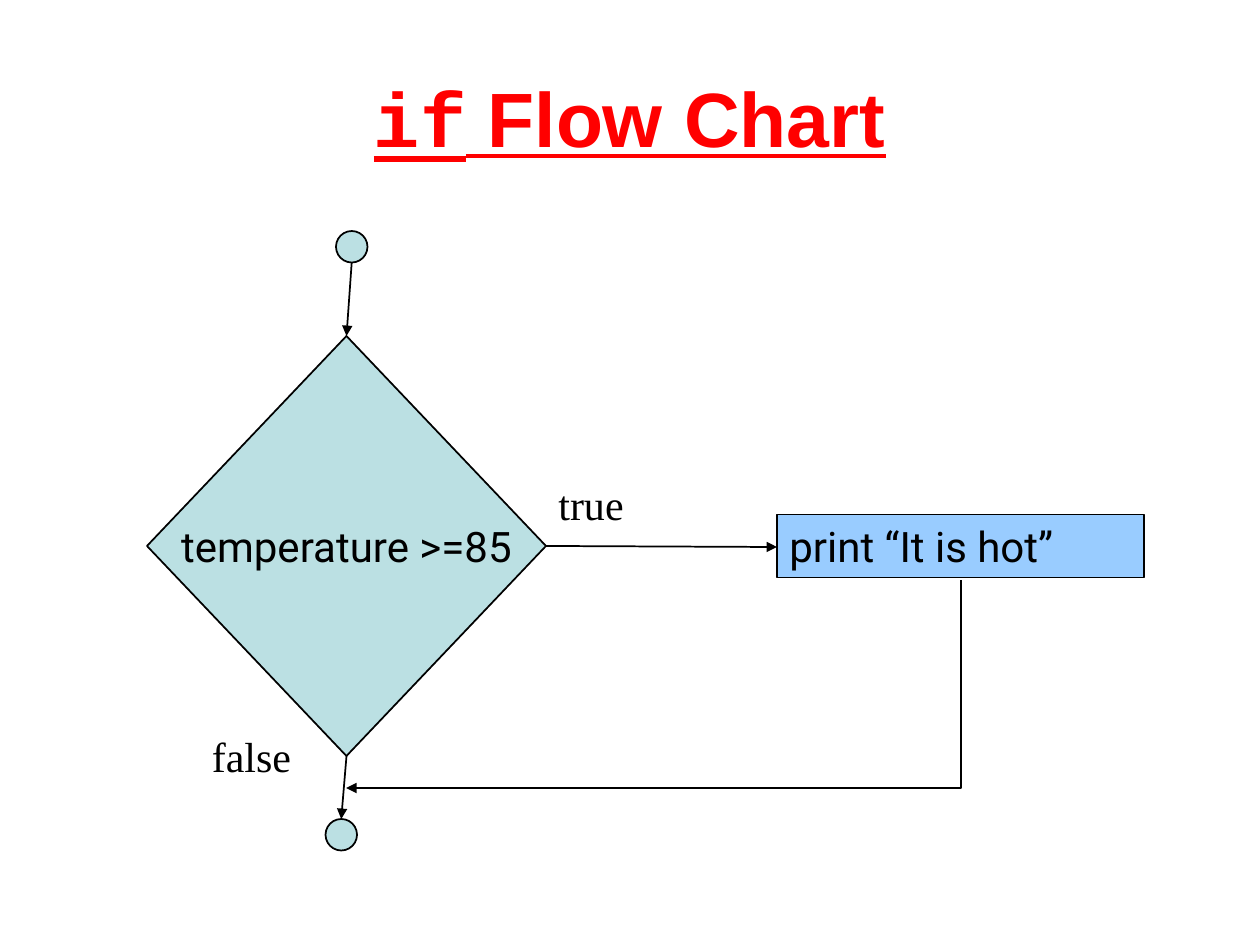
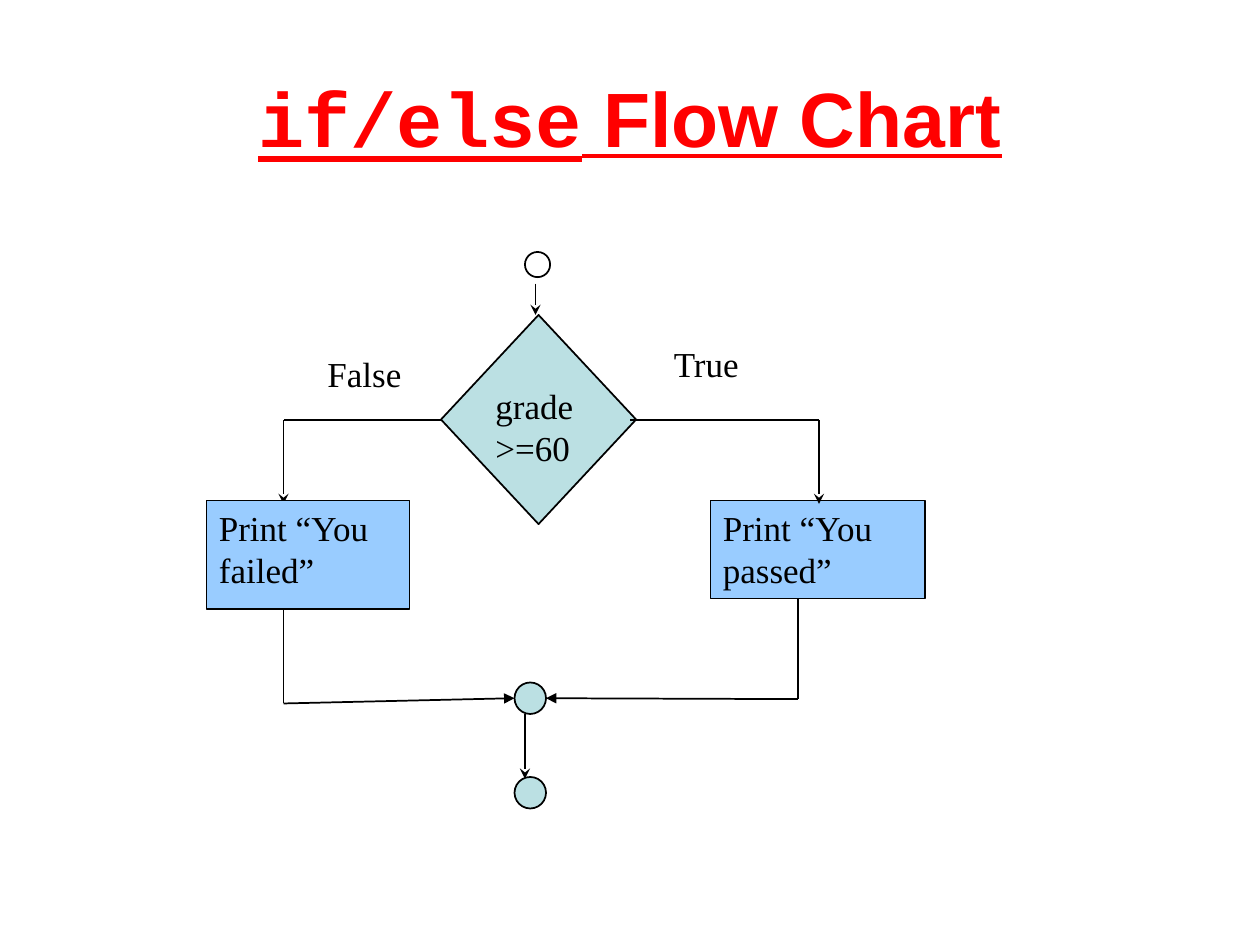
from dataclasses import dataclass

from lxml.etree import SubElement
from pptx import Presentation
from pptx.dml.color import RGBColor
from pptx.enum.shapes import MSO_CONNECTOR, MSO_SHAPE
from pptx.enum.text import MSO_ANCHOR, PP_ALIGN
from pptx.oxml.ns import qn
from pptx.util import Pt


@dataclass(frozen=True)
class Theme:
    title: RGBColor = RGBColor(0xFF, 0x00, 0x00)
    ink: RGBColor = RGBColor(0x00, 0x00, 0x00)
    paper: RGBColor = RGBColor(0xFF, 0xFF, 0xFF)
    node: RGBColor = RGBColor(0xBB, 0xE0, 0xE3)
    action: RGBColor = RGBColor(0x99, 0xCC, 0xFF)
    serif: str = "Times New Roman"
    sans: str = "Roboto"
    code: str = "Courier New"
    heading: str = "Arial"
    title_size: int = 44
    large: int = 24
    small: int = 20
    line: int = 1


theme = Theme()


def place(page, kind, bounds, fill=None, text="", size=theme.small, font=theme.serif, centred=False, wrap=True):
    lengths = [Pt(value) for value in bounds]
    if kind is None:
        shape = page.shapes.add_textbox(*lengths)
    else:
        shape = page.shapes.add_shape(kind, *lengths)
        shape.shadow.inherit = False
        shape.fill.solid()
        shape.fill.fore_color.rgb = fill
        shape.line.color.rgb = theme.ink
        shape.line.width = Pt(theme.line)
    frame = shape.text_frame
    frame.word_wrap = wrap
    frame.vertical_anchor = MSO_ANCHOR.MIDDLE if centred else MSO_ANCHOR.TOP
    para = frame.paragraphs[0]
    para.text = text
    para.alignment = PP_ALIGN.CENTER if centred else PP_ALIGN.LEFT
    para.font.name = font
    para.font.size = Pt(size)
    para.font.color.rgb = theme.ink
    return shape


def link(page, ends, head=None, kind=MSO_CONNECTOR.STRAIGHT):
    connector = page.shapes.add_connector(kind, *[Pt(value) for value in ends])
    connector.line.color.rgb = theme.ink
    connector.line.width = Pt(theme.line)
    properties = connector._element.spPr
    SubElement(properties, qn("a:effectLst"))
    if head:
        SubElement(properties.find(qn("a:ln")), qn("a:tailEnd"), type=head)
    return connector


deck = Presentation()
deck.slide_width = Pt(720)
deck.slide_height = Pt(540)

pages = []
for keyword in ("if", "if/else"):
    page = deck.slides.add_slide(deck.slide_layouts[6])
    box = place(page, None, (36, 21.6, 648, 90), size=theme.title_size, centred=True)
    para = box.text_frame.paragraphs[0]
    para.font.bold = True
    para.font.underline = True
    para.font.color.rgb = theme.title
    for text, font in ((keyword, theme.code), (" Flow Chart", theme.heading)):
        span = para.add_run()
        span.text = text
        span.font.name = font
    pages.append(page)

if_page, else_page = pages

place(if_page, MSO_SHAPE.RECTANGLE, (444, 294, 210, 36), theme.action,
      "print “It is hot”", theme.large, theme.sans)
place(if_page, MSO_SHAPE.DIAMOND, (84, 192, 228, 240), theme.node,
      "temperature >=85", theme.large, theme.sans, centred=True, wrap=False)
place(if_page, None, (312, 270, 52, 36), text="true", size=theme.large, wrap=False)
place(if_page, None, (114, 414, 66, 36), text="false", size=theme.large)
for left, top in ((192, 132), (186, 468)):
    place(if_page, MSO_SHAPE.FLOWCHART_CONNECTOR, (left, top, 18, 18), theme.node)
for ends in ((312, 312, 444, 312.6), (201, 150, 198, 192), (198, 432, 195, 468)):
    link(if_page, ends, "triangle")

return_path = link(if_page, (314, 215.3, 432.8, 566.5), "triangle", MSO_CONNECTOR.ELBOW)
return_shape = return_path._element.spPr
return_shape.find(qn("a:xfrm")).set("rot", "5400000")
return_shape.find(qn("a:prstGeom")).set("prst", "bentConnector2")

place(else_page, MSO_SHAPE.DIAMOND, (252, 180, 111.5, 119.5), theme.node)
place(else_page, None, (276, 216, 78, 29), text="grade >=60")
for ends, head in (
    ((360, 240, 468, 240), None),
    ((252, 240, 162, 240), None),
    ((162, 240, 162, 288), "stealth"),
    ((300, 408, 300, 445), "stealth"),
):
    link(else_page, ends, head)
for bounds, text in (
    ((406, 286, 122.5, 56), "Print “You passed”"),
    ((118, 286, 116, 62), "Print “You failed”"),
):
    place(else_page, MSO_SHAPE.RECTANGLE, bounds, theme.action, text)
for bounds, text in (((378, 192, 72, 29), "True"), ((180, 198, 63, 22), "False")):
    place(else_page, None, bounds, text=text)
for left, top, diameter, fill in (
    (300, 144, 14.4, theme.paper),
    (294, 390, 18, theme.node),
    (294, 444, 18, theme.node),
):
    place(else_page, MSO_SHAPE.OVAL, (left, top, diameter, diameter), fill)
for ends, head in (
    ((468, 240, 468, 288), "stealth"),
    ((306, 162, 306, 180), "stealth"),
    ((162, 348, 162, 402), None),
    ((456, 342, 456, 399.5), None),
    ((162, 402, 294, 399), "triangle"),
    ((456, 399.5, 312, 399), "triangle"),
):
    link(else_page, ends, head)

deck.save("out.pptx")
